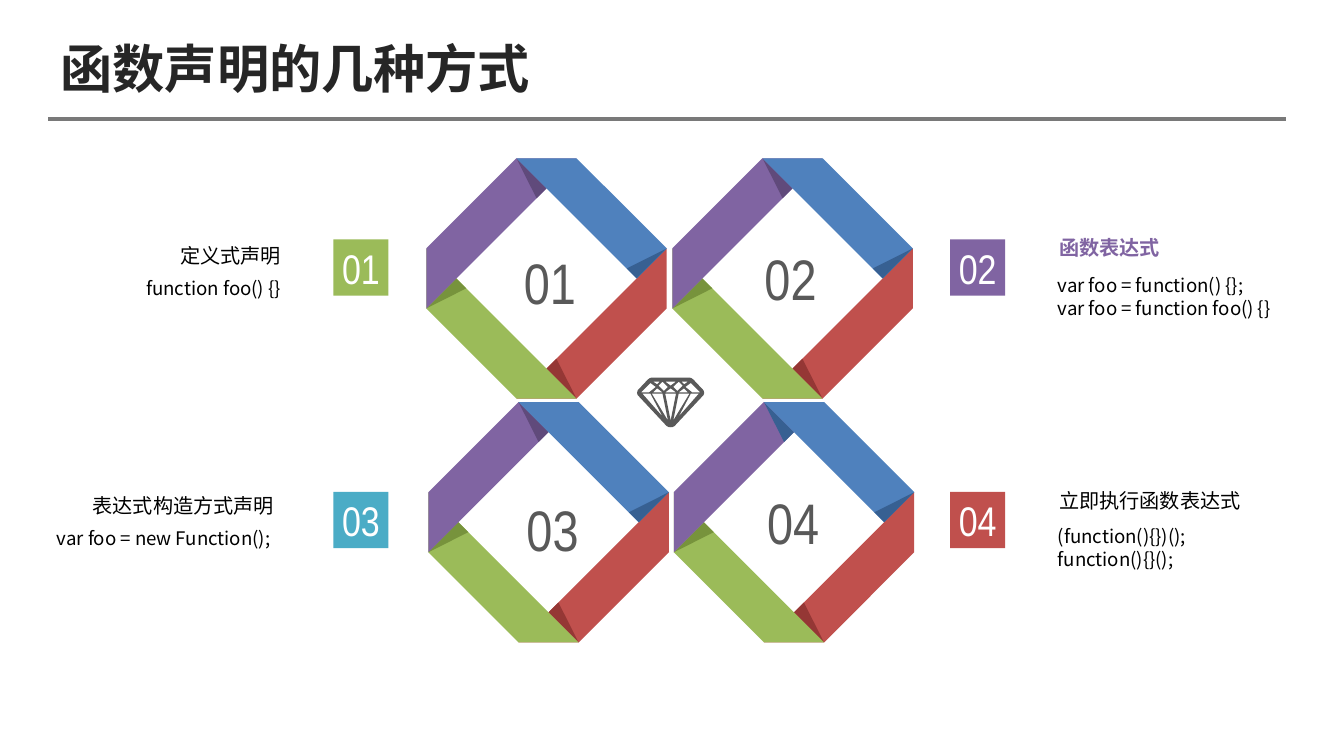
"""Build a slide on the ways to declare a function, with four folded ribbon rings."""
import lxml.etree
import pptx
import pptx.dml.color
import pptx.enum.shapes
import pptx.enum.text
import pptx.oxml.ns
import pptx.util

Pt = pptx.util.Pt
RGBColor = pptx.dml.color.RGBColor
ALIGN = pptx.enum.text.PP_ALIGN
ANCHOR = pptx.enum.text.MSO_ANCHOR

RED, DARK_RED = RGBColor(0xC0, 0x50, 0x4D), RGBColor(0x95, 0x37, 0x35)
GREEN, DARK_GREEN = RGBColor(0x9B, 0xBB, 0x59), RGBColor(0x77, 0x93, 0x3C)
PURPLE, DARK_PURPLE = RGBColor(0x80, 0x64, 0xA2), RGBColor(0x60, 0x4A, 0x7B)
BLUE, DARK_BLUE = RGBColor(0x4F, 0x81, 0xBD), RGBColor(0x37, 0x60, 0x92)
TEAL = RGBColor(0x4B, 0xAC, 0xC6)
GRAY, RULE_GRAY = RGBColor(0x59, 0x59, 0x59), RGBColor(0x79, 0x79, 0x79)
INK, BLACK, WHITE = RGBColor(0x26, 0x26, 0x26), RGBColor(0, 0, 0), RGBColor(255, 255, 255)
CJK, NARROW = "Noto Sans CJK SC", "Arial Narrow"

TITLE = "函数声明的几种方式"
RING_UNIT = 16.1
RIBBONS = [
    (RED, [(5, 8), (8, 5), (8, 3), (3, 8)]),
    (DARK_RED, [(5, 8), (4, 7), (4.33, 6.67)]),
    (GREEN, [(0, 3), (0, 5), (3, 8), (5, 8)]),
    (DARK_GREEN, [(0, 5), (1, 4), (1.33, 4.33)]),
    (PURPLE, [(3, 0), (0, 3), (0, 5), (5, 0)]),
    (DARK_PURPLE, [(3, 0), (4, 1), (3.67, 1.33)]),
    (BLUE, [(5, 0), (3, 0), (7, 4), (8, 3)]),
    (DARK_BLUE, [(8, 3), (7, 4), (6.67, 3.67)]),
]
RINGS = [
    ("01", (228.4, 84.8), (273.6, 128.9), DARK_PURPLE),
    ("02", (360.2, 84.8), (402.5, 126.7), DARK_PURPLE),
    ("03", (229.5, 215.4), (275, 261.4), DARK_PURPLE),
    ("04", (361, 215.4), (403.9, 257.8), DARK_BLUE),
]
GEM_OUTLINE = [(25, 37), (23.5, 36.8), (22, 36), (0.5, 13), (0, 11.5), (0.5, 9.5),
               (8, 1.5), (9.5, 0.4), (11, 0)]
GEM_SIDE_FACETS = [
    [(10, 4), (14, 7), (9, 11), (3, 11)],
    [(19, 29), (4, 12), (10, 12)],
    [(19, 12), (23, 32), (11, 12)],
    [(15, 8), (19, 11), (12, 11)],
    [(15, 5), (12, 3), (17, 3)],
    [(20, 10), (16, 6), (19, 3), (23, 7)],
]
GEM_MIDDLE_FACETS = [
    [(25, 6), (21, 3), (29, 3)],
    [(29, 12), (25, 32), (21, 12)],
    [(29, 11), (21, 11), (25, 8)],
]
GEM_LEFT, GEM_TOP, GEM_UNIT = 341.3, 202.3, 0.72
BADGES = [("01", 178.6, 128.2, GREEN), ("02", 509, 128.2, PURPLE),
          ("03", 178.6, 263.5, TEAL), ("04", 509, 263.5, RED)]
TITLE_INSETS, NUMBER_INSETS, NO_INSETS = (7.2, 3.6, 7.2, 3.6), (7.2, 3.6, 0, 3.6), (0, 0, 0, 0)
LEFT_INSETS, RIGHT_INSETS = (7.2, 3.6, 28.1, 3.6), (28.1, 3.6, 7.2, 3.6)
HEADINGS = [
    ("定义式声明", (42.5, 126.7), LEFT_INSETS, ALIGN.RIGHT, ANCHOR.TOP, CJK, BLACK, False),
    ("函数表达式", (539.3, 124.6), RIGHT_INSETS, ALIGN.LEFT, ANCHOR.BOTTOM, "Calibri", PURPLE, True),
    ("表达式构造方式声明", (42.5, 260.6), LEFT_INSETS, ALIGN.LEFT, ANCHOR.TOP, CJK, BLACK, False),
    ("立即执行函数表达式", (539.3, 259.9), RIGHT_INSETS, ALIGN.LEFT, ANCHOR.BOTTOM, CJK, BLACK, False),
]
EXAMPLES = [
    (["function foo() {}"], (33.8, 144.7, 144.7, 32.4), LEFT_INSETS, ALIGN.RIGHT),
    (["var foo = function() {};", "var foo = function foo() {}"],
     (538.6, 143.3, 155.5, 42.5), RIGHT_INSETS, ALIGN.LEFT),
    (["var foo = new Function();"], (-2.9, 278.6, 175.7, 37.4), LEFT_INSETS, ALIGN.RIGHT),
    (["(function(){})();", "function(){}();"],
     (538.6, 277.9, 141.1, 38.2), RIGHT_INSETS, ALIGN.LEFT),
]


def write(shape, lines, size, font, color, insets, align=ALIGN.LEFT, anchor=ANCHOR.TOP, bold=False):
    frame = shape.text_frame
    frame.word_wrap = True
    frame.vertical_anchor = anchor
    frame.margin_left, frame.margin_top, frame.margin_right, frame.margin_bottom = map(Pt, insets)
    for index, line in enumerate(lines):
        paragraph = frame.add_paragraph() if index else frame.paragraphs[0]
        paragraph.alignment = align
        run = paragraph.add_run()
        run.text = line
        run.font.size, run.font.bold, run.font.name = Pt(size), bold, font
        run.font.color.rgb = color
        east_asian = lxml.etree.SubElement(run._r.get_or_add_rPr(), pptx.oxml.ns.qn("a:ea"))
        east_asian.set("typeface", font)


def paint(shape, color):
    shape.shadow.inherit = False
    shape.fill.solid()
    shape.fill.fore_color.rgb = color
    shape.line.fill.background()


def draw_outline(shapes, contours, left, top, unit, color):
    placed = [[(Pt(left + x * unit), Pt(top + y * unit)) for x, y in contour]
              for contour in contours]
    builder = shapes.build_freeform(*placed[0][0])
    builder.add_line_segments(placed[0][1:])
    for contour in placed[1:]:
        builder.move_to(*contour[0])
        builder.add_line_segments(contour[1:])
    paint(builder.convert_to_shape(), color)


def add_text(shapes, box, *content, **style):
    write(shapes.add_textbox(*map(Pt, box)), *content, **style)


def mirror(contour):
    return [(50 - x, y) for x, y in contour]


def main():
    presentation = pptx.Presentation()
    presentation.slide_width, presentation.slide_height = Pt(720), Pt(405)
    slide = presentation.slides.add_slide(presentation.slide_layouts[5])
    shapes = slide.shapes

    rule = shapes.add_connector(pptx.enum.shapes.MSO_CONNECTOR.STRAIGHT,
                                Pt(25.9), Pt(63.9), Pt(689), Pt(63.9))
    rule.line.color.rgb, rule.line.width = RULE_GRAY, Pt(2.25)
    lxml.etree.SubElement(rule._element.spPr, pptx.oxml.ns.qn("a:effectLst"))

    title = shapes.title
    title.left, title.top, title.width, title.height = map(Pt, (25.2, 16.6, 663.1, 38.9))
    write(title, [TITLE], 28, CJK, INK, TITLE_INSETS, anchor=ANCHOR.MIDDLE, bold=True)

    for number, (left, top), (text_left, text_top), purple_fold in RINGS:
        for color, corners in RIBBONS:
            ribbon_color = purple_fold if color == DARK_PURPLE else color
            draw_outline(shapes, [corners], left, top, RING_UNIT, ribbon_color)
        add_text(shapes, (text_left, text_top, 38.9, 38.2), [number], 30.6, NARROW, GRAY,
                 NUMBER_INSETS)

    outline = GEM_OUTLINE + mirror(GEM_OUTLINE[:0:-1])
    facets = GEM_SIDE_FACETS + [mirror(facet) for facet in GEM_SIDE_FACETS] + GEM_MIDDLE_FACETS
    draw_outline(shapes, [outline] + facets, GEM_LEFT, GEM_TOP, GEM_UNIT, GRAY)

    for number, left, top, color in BADGES:
        badge = shapes.add_shape(pptx.enum.shapes.MSO_SHAPE.RECTANGLE,
                                 Pt(left), Pt(top), Pt(29.5), Pt(30.2))
        paint(badge, color)
        write(badge, [number], 22.2, NARROW, WHITE, NO_INSETS, ALIGN.CENTER, ANCHOR.MIDDLE)

    for text, (left, top), insets, align, anchor, font, color, bold in HEADINGS:
        add_text(shapes, (left, top, 136.1, 18), [text], 10.8, font, color,
                 insets, align, anchor, bold=bold)
    for lines, box, insets, align in EXAMPLES:
        add_text(shapes, box, lines, 10, CJK, BLACK, insets, align)

    presentation.save("out.pptx")


if __name__ == "__main__":
    main()
